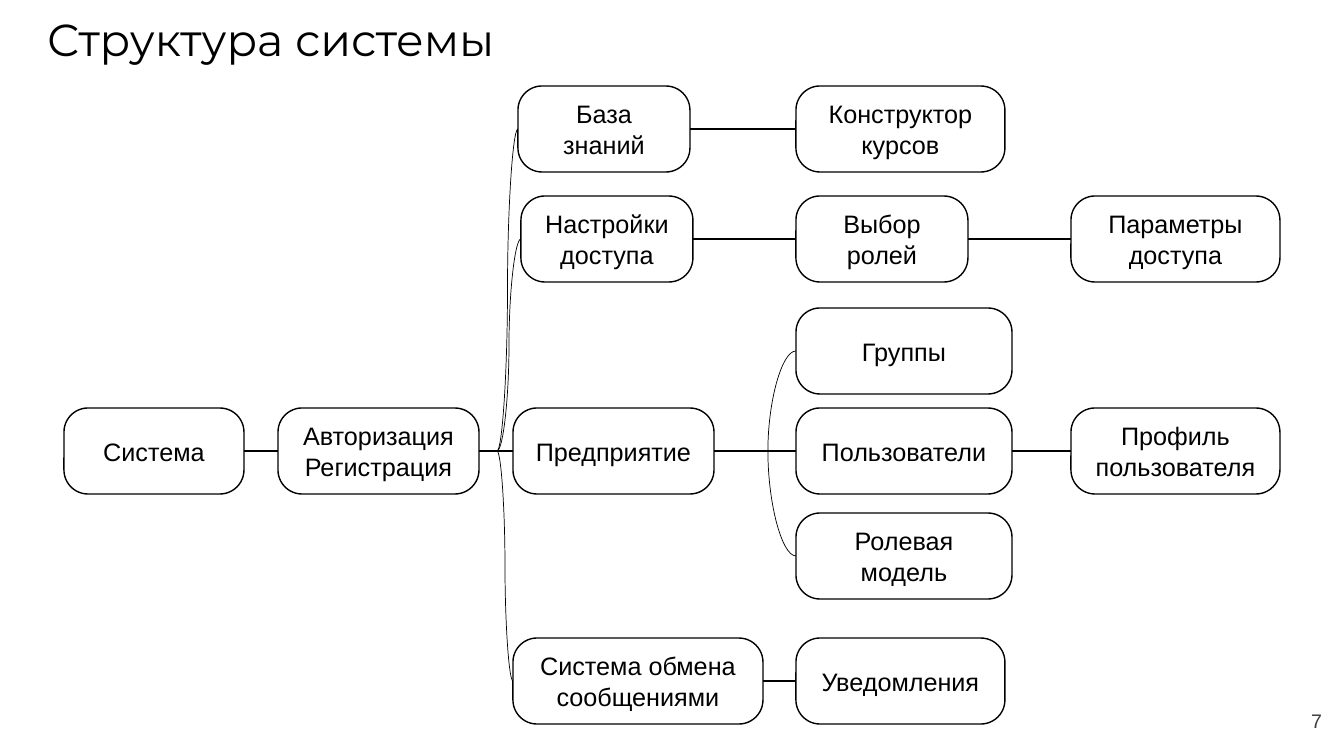
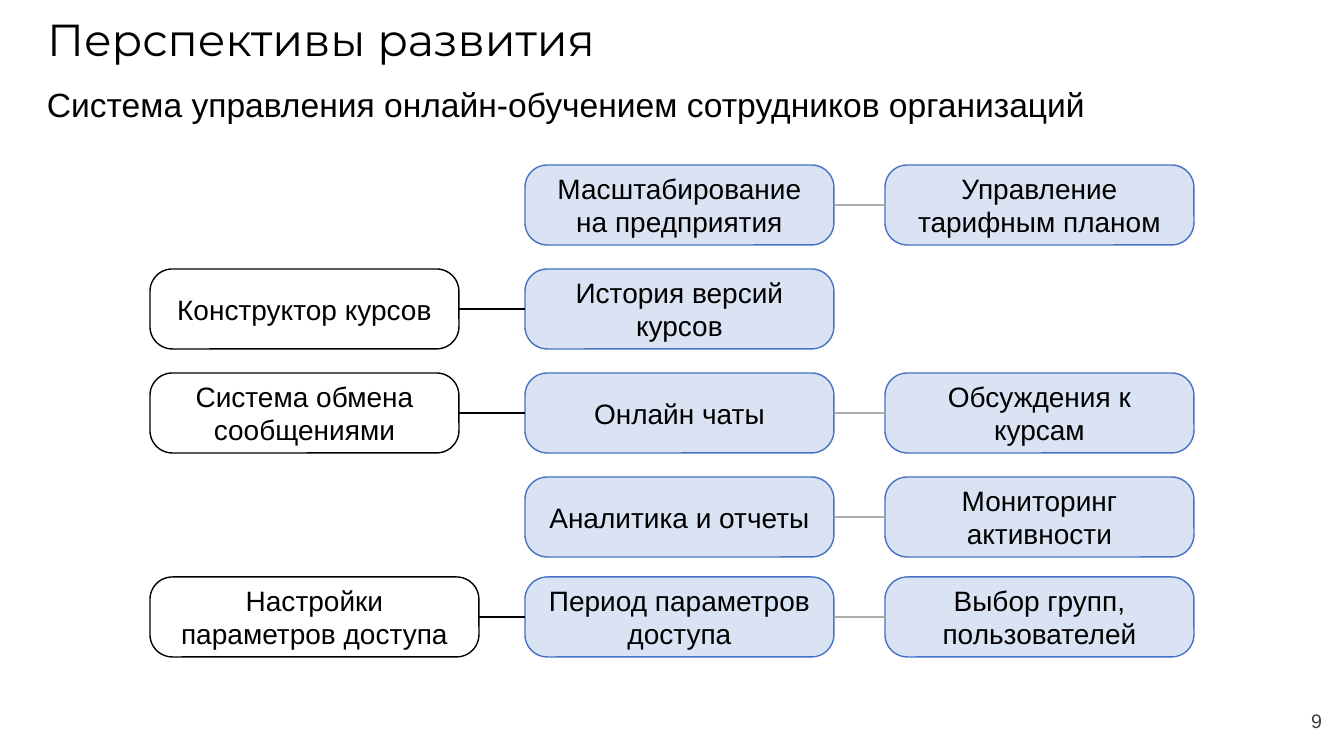
import dataclasses

import lxml.etree
import pptx
import pptx.dml.color
import pptx.enum.shapes
import pptx.enum.text
import pptx.oxml.ns
import pptx.util

SLIDE_WIDTH, SLIDE_HEIGHT = 1344, 756
EMU_PER_INCH, PX_PER_TEN_INCHES = 914400, 1008
LEFT_SITE, RIGHT_SITE = 1, 3

Align = pptx.enum.text.PP_ALIGN
Anchor = pptx.enum.text.MSO_ANCHOR
Connector = pptx.enum.shapes.MSO_CONNECTOR


@dataclasses.dataclass(frozen=True)
class Theme:
    title_font: str = "Montserrat"
    body_font: str = "Arial"
    ink: str = "000000"
    number: str = "404040"
    grey_line: str = "AFABAB"
    plan_fill: str = "DAE3F3"
    plan_line: str = "4472C4"
    title_size: int = 32
    subtitle_size: int = 24
    plan_size: int = 20
    structure_size: int = 18
    number_size: int = 14
    line_width: float = 1
    branch_width: float = 0.5
    corner: float = 0.28


@dataclasses.dataclass(frozen=True)
class Box:
    left: int
    top: int
    width: int
    height: int

    def emu(self):
        return [px(value) for value in dataclasses.astuple(self)]


THEME = Theme()
TITLE_BOX = Box(37, 1, 1270, 83)
NUMBER_BOX = Box(1281, 701, 51, 40)
SUBTITLE_BOX = Box(37, 79, 1069, 50)
STRUCTURE_BOX = Box(64, 86, 1216, 638)
PLAN_BOX = Box(150, 165, 1044, 492)

# Structure nodes: left, top and width inside the diagram, then the label
STRUCTURE_NODES = {
    "system": (0, 322, 180, "Система"),
    "login": (214, 322, 201, "Авторизация\nРегистрация"),
    "knowledge": (454, 0, 172, "База знаний"),
    "access": (457, 110, 172, "Настройки доступа"),
    "company": (449, 322, 201, "Предприятие"),
    "messages": (449, 552, 250, "Система обмена сообщениями"),
    "builder": (732, 0, 209, "Конструктор курсов"),
    "role choice": (732, 110, 172, "Выбор ролей"),
    "groups": (732, 222, 216, "Группы"),
    "users": (732, 322, 216, "Пользователи"),
    "role model": (732, 427, 216, "Ролевая модель"),
    "notices": (732, 552, 209, "Уведомления"),
    "parameters": (1007, 110, 209, "Параметры доступа"),
    "profile": (1007, 322, 209, "Профиль пользователя"),
}
STRUCTURE_CHAINS = [
    ("knowledge", "builder"),
    ("access", "role choice", "parameters"),
    ("system", "login", "company", "users", "profile"),
    ("messages", "notices"),
]
# Junction x inside the diagram, curve preset, branching nodes
STRUCTURE_BRANCHES = [
    (433, "curvedConnector3", ("knowledge", "access", "messages")),
    (704, "curvedConnector2", ("groups", "role model")),
]

# Plan rows: top inside the diagram, then existing part, plan, next step
PLAN_ROWS = [
    (0, (None, "Масштабирование на предприятия", "Управление тарифным планом")),
    (104, ("Конструктор курсов", "История версий курсов", None)),
    (208, ("Система обмена сообщениями", "Онлайн чаты", "Обсуждения к курсам")),
    (312, (None, "Аналитика и отчеты", "Мониторинг активности")),
    (412, ("Настройки параметров доступа", "Период параметров доступа",
           "Выбор групп, пользователей")),
]
PLAN_COLUMNS = (0, 375, 735)


def px(value):
    return pptx.util.Emu(round(value * EMU_PER_INCH * 10 / PX_PER_TEN_INCHES))


def rgb(color):
    return pptx.dml.color.RGBColor.from_string(color)


def write(text_frame, text, size, font=THEME.body_font, color=THEME.ink,
          align=Align.LEFT, anchor=Anchor.MIDDLE, wrap=True):
    text_frame.text = text
    text_frame.word_wrap = wrap
    text_frame.vertical_anchor = anchor
    for paragraph in text_frame.paragraphs:
        paragraph.alignment = align
        for run in paragraph.runs:
            run.font.name = font
            run.font.size = pptx.util.Pt(size)
            run.font.color.rgb = rgb(color)


def add_node(shapes, box, text, size, line=THEME.ink, fill=None):
    node = shapes.add_shape(
        pptx.enum.shapes.MSO_SHAPE.ROUNDED_RECTANGLE, *box.emu())
    node.adjustments[0] = THEME.corner
    node.shadow.inherit = False
    if fill:
        node.fill.solid()
        node.fill.fore_color.rgb = rgb(fill)
    else:
        node.fill.background()
    node.line.color.rgb = rgb(line)
    node.line.width = pptx.util.Pt(THEME.line_width)
    write(node.text_frame, text, size, align=Align.CENTER)
    return node


def add_line(shapes, kind, start, end, color, width):
    connector = shapes.add_connector(kind, *start, *end)
    connector.line.color.rgb = rgb(color)
    connector.line.width = pptx.util.Pt(width)
    lxml.etree.SubElement(
        connector._element.spPr, pptx.oxml.ns.qn("a:effectLst"))
    return connector


def middle(node):
    return node.top + node.height // 2


def link(shapes, first, second, color=THEME.ink):
    """Join the right side of one node to the left side of the next."""
    connector = add_line(
        shapes, Connector.STRAIGHT, (first.left + first.width, middle(first)),
        (second.left, middle(second)), color, THEME.line_width)
    connector.begin_connect(first, RIGHT_SITE)
    connector.end_connect(second, LEFT_SITE)


def branch(shapes, node, junction, preset):
    """Curve from the left side of a node to a junction on the trunk."""
    connector = add_line(
        shapes, Connector.CURVE, (node.left, middle(node)), junction,
        THEME.ink, THEME.branch_width)
    geometry = connector._element.spPr.find(pptx.oxml.ns.qn("a:prstGeom"))
    geometry.set("prst", preset)


def add_slide(presentation, title, number):
    slide = presentation.slides.add_slide(presentation.slide_layouts[5])
    # Title
    heading = slide.shapes.title
    heading.left, heading.top, heading.width, heading.height = TITLE_BOX.emu()
    write(heading.text_frame, title, THEME.title_size, THEME.title_font)
    heading.text_frame.auto_size = pptx.enum.text.MSO_AUTO_SIZE.NONE
    heading.text_frame.paragraphs[0].line_spacing = 0.9
    # Page number
    page = slide.shapes.add_textbox(*NUMBER_BOX.emu())
    write(page.text_frame, number, THEME.number_size, color=THEME.number,
          align=Align.RIGHT)
    return slide


def draw_structure(slide, area):
    shapes = slide.shapes.add_group_shape().shapes
    nodes = {}
    for name, (left, top, width, text) in STRUCTURE_NODES.items():
        box = Box(area.left + left, area.top + top, width, 86)
        nodes[name] = add_node(shapes, box, text, THEME.structure_size)
    for chain in STRUCTURE_CHAINS:
        for first, second in zip(chain, chain[1:]):
            link(shapes, nodes[first], nodes[second])
    for left, preset, names in STRUCTURE_BRANCHES:
        junction = (px(area.left + left), middle(nodes["company"]))
        for name in names:
            branch(shapes, nodes[name], junction, preset)


def draw_plan(slide, area):
    shapes = slide.shapes.add_group_shape().shapes
    for top, labels in PLAN_ROWS:
        nodes = []
        for column, (left, text) in enumerate(zip(PLAN_COLUMNS, labels)):
            if text is None:
                nodes.append(None)
                continue
            # The longest existing part needs a wider box
            width = 329 if column == 0 and top == PLAN_ROWS[-1][0] else 309
            box = Box(area.left + left, area.top + top, width, 80)
            colors = (THEME.plan_line, THEME.plan_fill) if column else ()
            nodes.append(add_node(shapes, box, text, THEME.plan_size, *colors))
        existing, plan, next_step = nodes
        if existing:
            link(shapes, existing, plan)
        if next_step:
            link(shapes, plan, next_step, THEME.grey_line)


def build_structure_slide(presentation):
    slide = add_slide(presentation, "Структура системы", "7")
    draw_structure(slide, STRUCTURE_BOX)


def build_plan_slide(presentation):
    slide = add_slide(presentation, "Перспективы развития", "9")
    draw_plan(slide, PLAN_BOX)
    subtitle = slide.shapes.add_textbox(*SUBTITLE_BOX.emu())
    write(subtitle.text_frame,
          "Система управления онлайн-обучением сотрудников организаций",
          THEME.subtitle_size, anchor=Anchor.TOP, wrap=False)


def main():
    presentation = pptx.Presentation()
    presentation.slide_width = px(SLIDE_WIDTH)
    presentation.slide_height = px(SLIDE_HEIGHT)
    build_structure_slide(presentation)
    build_plan_slide(presentation)
    presentation.save("out.pptx")


if __name__ == "__main__":
    main()
